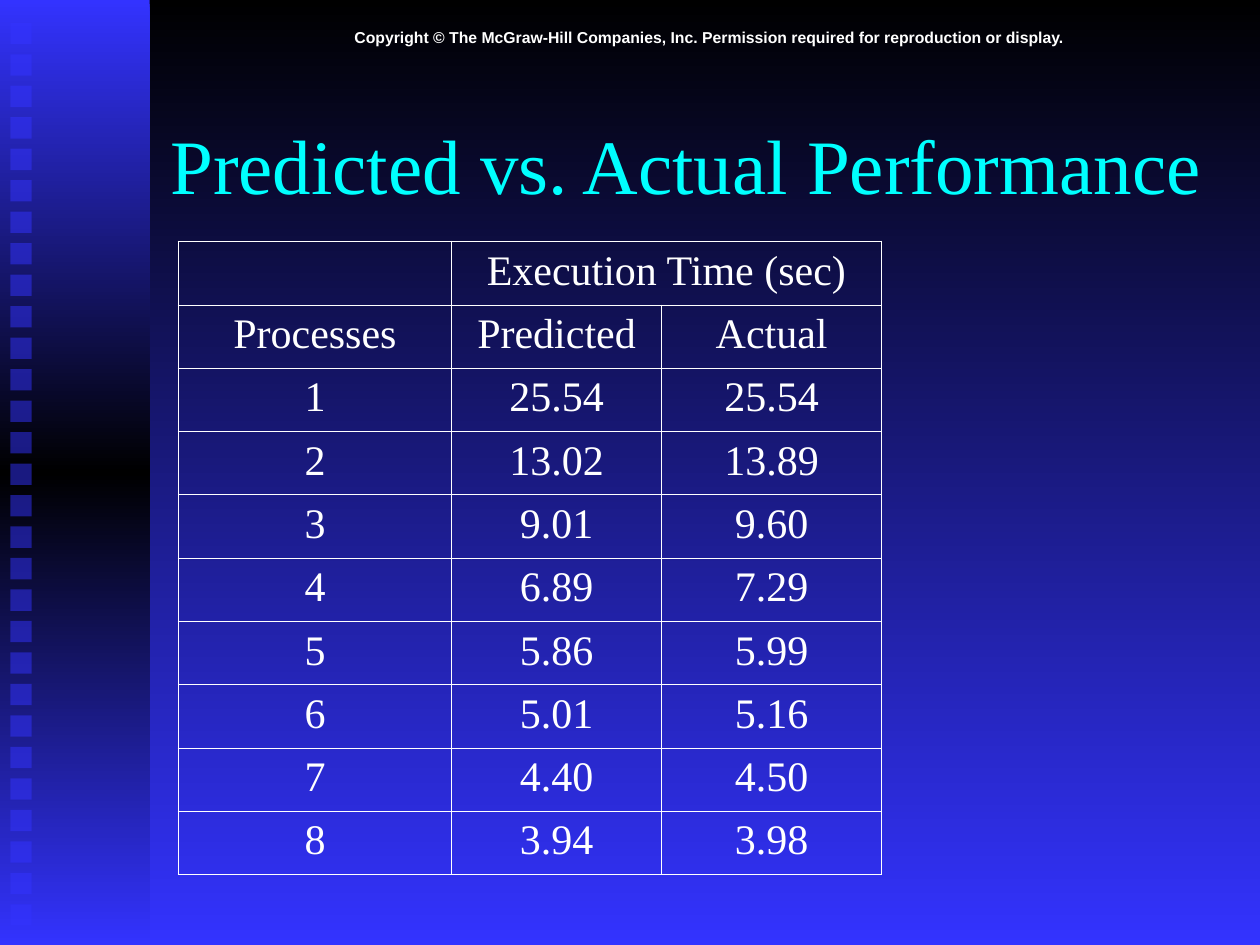
import pptx
import pptx.util
import pptx.dml.color
import pptx.enum.shapes
import pptx.enum.text
import pptx.oxml.ns
from lxml import etree

Cm = pptx.util.Cm
Pt = pptx.util.Pt
qn = pptx.oxml.ns.qn
ALIGN = pptx.enum.text.PP_ALIGN
ANCHOR = pptx.enum.text.MSO_ANCHOR
RECT = pptx.enum.shapes.MSO_SHAPE.RECTANGLE

BLUE, BLACK, WHITE, CYAN = "3333FF", "000000", "FFFFFF", "00FFFF"
SERIF, SANS = "Times New Roman", "Arial"
TIMES = [
    ("1", "25.54", "25.54"),
    ("2", "13.02", "13.89"),
    ("3", "9.01", "9.60"),
    ("4", "6.89", "7.29"),
    ("5", "5.86", "5.99"),
    ("6", "5.01", "5.16"),
    ("7", "4.40", "4.50"),
    ("8", "3.94", "3.98"),
]


def tint(hue):
    return pptx.dml.color.RGBColor.from_string(hue)


def tag(parent, name, **attrs):
    return etree.SubElement(parent, qn(name), attrs)


def grade(fill, root, hues):
    """Fill from top to bottom with evenly spaced hues."""
    fill.gradient()
    fill.gradient_angle = 270
    stops = next(root.iter(qn("a:gsLst")))
    for old in list(stops):
        stops.remove(old)
    for i, hue in enumerate(hues):
        stop = tag(stops, "a:gs", pos=str(100000 * i // (len(hues) - 1)))
        tag(stop, "a:srgbClr", val=hue)


def write(frame, text, size, font, hue, align, bold=False):
    para = frame.paragraphs[0]
    para.alignment = align
    para.space_before = Pt(0)
    run = para.add_run()
    run.text = text
    run.font.size = Pt(size)
    run.font.name = font
    run.font.bold = bold
    run.font.color.rgb = tint(hue)


def add_rect(group, left, top, width, height):
    rect = group.shapes.add_shape(RECT, left, top, width, height)
    rect.shadow.inherit = False
    rect.line.fill.background()
    return rect


def add_band(slide, left, top, width, height):
    """Side band with a column of half-transparent squares."""
    group = slide.shapes.add_group_shape()
    band = add_rect(group, left, top, width, height)
    grade(band.fill, band.element, [BLUE, BLACK, BLUE])
    count, side, first = 29, Cm(0.43), Cm(0.46)
    pitch = (Cm(18.23) - first) / (count - 1)
    for i in range(count):
        y = top + first + round(i * pitch)
        square = add_rect(group, left + Cm(0.21), y, side, side)
        square.fill.solid()
        square.fill.fore_color.rgb = tint(BLUE)
        color = next(square.element.spPr.iter(qn("a:srgbClr")))
        tag(color, "a:alpha", val="50000")


def add_notice(slide, left, top, width, height):
    box = slide.shapes.add_textbox(left, top, width, height)
    box.text_frame.word_wrap = True
    write(box.text_frame,
          "Copyright © The McGraw-Hill Companies, Inc. "
          "Permission required for reproduction or display.",
          9, SANS, WHITE, ALIGN.CENTER, True)


def set_title(slide, left, top, width, height):
    title = slide.shapes.title
    title.left, title.top = left, top
    title.width, title.height = width, height
    frame = title.text_frame
    frame.word_wrap = True
    frame.auto_size = pptx.enum.text.MSO_AUTO_SIZE.NONE
    frame.vertical_anchor = ANCHOR.MIDDLE
    write(frame, "Predicted vs. Actual Performance", 44, SERIF, CYAN, ALIGN.LEFT)


def edge(cell, outer):
    """Draw the four borders, heavier on the outer sides."""
    props = cell._tc.get_or_add_tcPr()
    for side in "LRTB":
        width = Pt(1.08 if side in outer else 0.45)
        line = tag(props, "a:ln" + side, w=str(width))
        tag(tag(line, "a:solidFill"), "a:srgbClr", val=WHITE)


def add_times(slide, left, top, width, height):
    rows = [("", "Execution Time (sec)", ""),
            ("Processes", "Predicted", "Actual")] + TIMES
    last = len(rows) - 1
    table = slide.shapes.add_table(len(rows), 3, left, top, width, height).table
    table.first_row = table.horz_banding = False
    for col, span in zip(table.columns, (5.5, 4.24, 4.43)):
        col.width = Cm(span)
    table.cell(0, 1).merge(table.cell(0, 2))
    for r, row in enumerate(rows):
        for c, text in enumerate(row):
            cell = table.cell(r, c)
            right = c == 2 or cell.is_merge_origin
            edge(cell, "L" * (c == 0) + "R" * right
                 + "T" * (r == 0) + "B" * (r == last))
            cell.fill.background()
            if text:
                write(cell.text_frame, text, 24, SERIF, WHITE, ALIGN.CENTER)


def main():
    deck = pptx.Presentation()
    deck.slide_width, deck.slide_height = Cm(25.4), Cm(19.05)
    slide = deck.slides.add_slide(deck.slide_layouts[5])
    grade(slide.background.fill, slide.element, [BLACK, BLUE])
    add_band(slide, Cm(0), Cm(0), Cm(3.02), deck.slide_height)
    add_notice(slide, Cm(3.18), Cm(0.43), Cm(22.22), Cm(0.64))
    set_title(slide, Cm(3.18), Cm(1.7), Cm(21.59), Cm(3.18))
    add_times(slide, Cm(3.6), Cm(4.87), Cm(14.17), Cm(12.76))
    deck.save("out.pptx")


if __name__ == "__main__":
    main()
